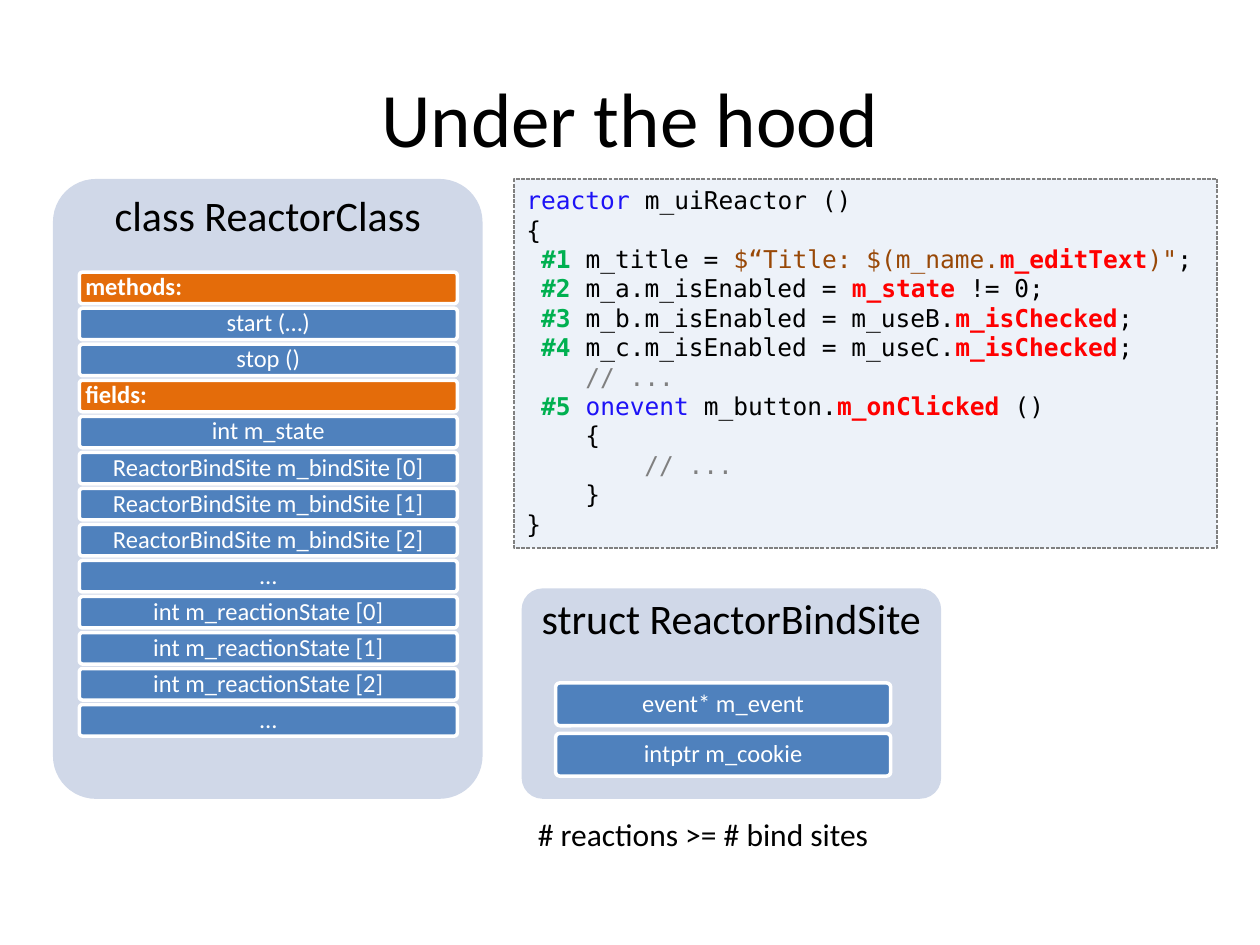
from pptx import Presentation
from pptx.dml.color import RGBColor
from pptx.enum.dml import MSO_LINE
from pptx.enum.shapes import MSO_SHAPE
from pptx.enum.text import MSO_ANCHOR, PP_ALIGN
from pptx.util import Inches, Pt

RECT, ROUNDED = MSO_SHAPE.RECTANGLE, MSO_SHAPE.ROUNDED_RECTANGLE
TOP, MIDDLE = MSO_ANCHOR.TOP, MSO_ANCHOR.MIDDLE
LEFT, CENTER = PP_ALIGN.LEFT, PP_ALIGN.CENTER
DASH = MSO_LINE.SQUARE_DOT

SANS, MONO = "Calibri", "DejaVu Sans Mono"
BLACK, WHITE = "000000", "FFFFFF"
PANEL, HEADER, MEMBER = "D0D8E8", "E46C0A", "4F81BD"
CODE_FILL, CODE_LINE = "EDF2F9", "808080"
CODE_COLUMN = 0.117  # width of one 14 pt monospaced character

# Token styles: colour, bold
PLAIN = (BLACK, False)
KEYWORD = ("1D12F6", False)
STRING = ("984807", False)
COMMENT = ("808080", False)
NUMBER = ("00B050", True)
EVENT = ("FF0000", True)

CLASS_MEMBERS = [
    "methods:", "start (…)", "stop ()",
    "fields:", "int m_state",
    "ReactorBindSite m_bindSite [0]", "ReactorBindSite m_bindSite [1]",
    "ReactorBindSite m_bindSite [2]", "…",
    "int m_reactionState [0]", "int m_reactionState [1]",
    "int m_reactionState [2]", "…",
]
STRUCT_MEMBERS = ["event* m_event", "intptr m_cookie"]

# Each code line: indent in columns, then its tokens
CODE = [
    (0, [("reactor ", KEYWORD), ("m_uiReactor ()", PLAIN)]),
    (0, [("{", PLAIN)]),
    (1, [("#1 ", NUMBER), ("m_title = ", PLAIN),
         ("$“Title: $(m_name.", STRING), ("m_editText", EVENT),
         (")\"", STRING), (";", PLAIN)]),
    (1, [("#2 ", NUMBER), ("m_a.m_isEnabled = ", PLAIN),
         ("m_state", EVENT), (" != 0;", PLAIN)]),
    (1, [("#3 ", NUMBER), ("m_b.m_isEnabled = m_useB.", PLAIN),
         ("m_isChecked", EVENT), (";", PLAIN)]),
    (1, [("#4 ", NUMBER), ("m_c.m_isEnabled = m_useC.", PLAIN),
         ("m_isChecked", EVENT), (";", PLAIN)]),
    (4, [("// ...", COMMENT)]),
    (1, [("#5 ", NUMBER), ("onevent ", KEYWORD), ("m_button.", PLAIN),
         ("m_onClicked ", EVENT), ("()", PLAIN)]),
    (4, [("{", PLAIN)]),
    (8, [("// ...", COMMENT)]),
    (4, [("}", PLAIN)]),
    (0, [("}", PLAIN)]),
]


def rgb(value):
    return RGBColor.from_string(value)


def style_run(r, size, color, bold=False, font=SANS):
    r.font.name = font
    r.font.size = Pt(size)
    r.font.bold = bold
    r.font.color.rgb = rgb(color)


def set_margins(tf, x, y):
    tf.margin_left = tf.margin_right = Inches(x)
    tf.margin_top = tf.margin_bottom = Inches(y)


def write(tf, text, size, color, align=LEFT, anchor=TOP, bold=False):
    tf.text = text
    tf.vertical_anchor = anchor
    p = tf.paragraphs[0]
    p.alignment = align
    style_run(p.runs[0], size, color, bold)
    return p


def add_box(s, preset, x, y, w, h, fill, line=None, line_width=2.0):
    sp = s.shapes.add_shape(preset, Inches(x), Inches(y), Inches(w), Inches(h))
    sp.shadow.inherit = False
    sp.fill.solid()
    sp.fill.fore_color.rgb = rgb(fill)
    if line:
        sp.line.color.rgb = rgb(line)
        sp.line.width = Pt(line_width)
    else:
        sp.line.fill.background()
    sp.text_frame.word_wrap = True
    return sp


def add_label(s, text, x, y, w, h, size, align=LEFT, anchor=TOP, wrap=True):
    tf = s.shapes.add_textbox(Inches(x), Inches(y), Inches(w), Inches(h)).text_frame
    tf.word_wrap = wrap
    write(tf, text, size, BLACK, align, anchor)


def add_panel(s, title, x, y, w, h):
    sp = add_box(s, ROUNDED, x, y, w, h, PANEL)
    sp.adjustments[0] = 0.1
    set_margins(sp.text_frame, 0.05, 0.03)
    write(sp.text_frame, title, 24, BLACK, CENTER).line_spacing = 0.9


def add_members(s, members, x, y, w, h, pitch):
    for i, text in enumerate(members):
        header = text.endswith(":")
        sp = add_box(s, ROUNDED, x, y + i * pitch, w, h,
                     HEADER if header else MEMBER, WHITE)
        sp.adjustments[0] = 0.1
        set_margins(sp.text_frame, 0.04, 0.03)
        p = write(sp.text_frame, text, 14, WHITE,
                  LEFT if header else CENTER, MIDDLE, header)
        p.line_spacing = 0.9


def add_code(s, lines, x, y, w, h):
    sp = add_box(s, RECT, x, y, w, h, CODE_FILL, CODE_LINE, 0.75)
    sp.line.dash_style = DASH
    tf = sp.text_frame
    tf.vertical_anchor = TOP
    for i, (column, tokens) in enumerate(lines):
        p = tf.add_paragraph() if i else tf.paragraphs[0]
        p.alignment = LEFT
        if column:
            p._p.get_or_add_pPr().set("marL", str(Inches(column * CODE_COLUMN)))
        for text, (color, bold) in tokens:
            r = p.add_run()
            r.text = text
            style_run(r, 14, color, bold, MONO)


def main():
    prs = Presentation()
    prs.slide_width, prs.slide_height = Inches(10), Inches(7.5)
    s = prs.slides.add_slide(prs.slide_layouts[6])

    # Title
    add_label(s, "Under the hood", 0.5, 0.3, 9, 1.25, 44, CENTER, MIDDLE)

    # Class layout
    add_panel(s, "class ReactorClass", 0.42, 1.42, 3.41, 4.92)
    add_members(s, CLASS_MEMBERS, 0.63, 2.16, 3, 0.25, 0.286)

    # Struct layout
    add_panel(s, "struct ReactorBindSite", 4.14, 4.67, 3.33, 1.67)
    add_members(s, STRUCT_MEMBERS, 4.41, 5.42, 2.66, 0.34, 0.4)

    # Reactor source and remark
    add_code(s, CODE, 4.08, 1.42, 5.58, 2.93)
    add_label(s, "# reactions >= # bind sites", 4.17, 6.42, 2.86, 0.4, 18, wrap=False)

    prs.save("out.pptx")


main()
